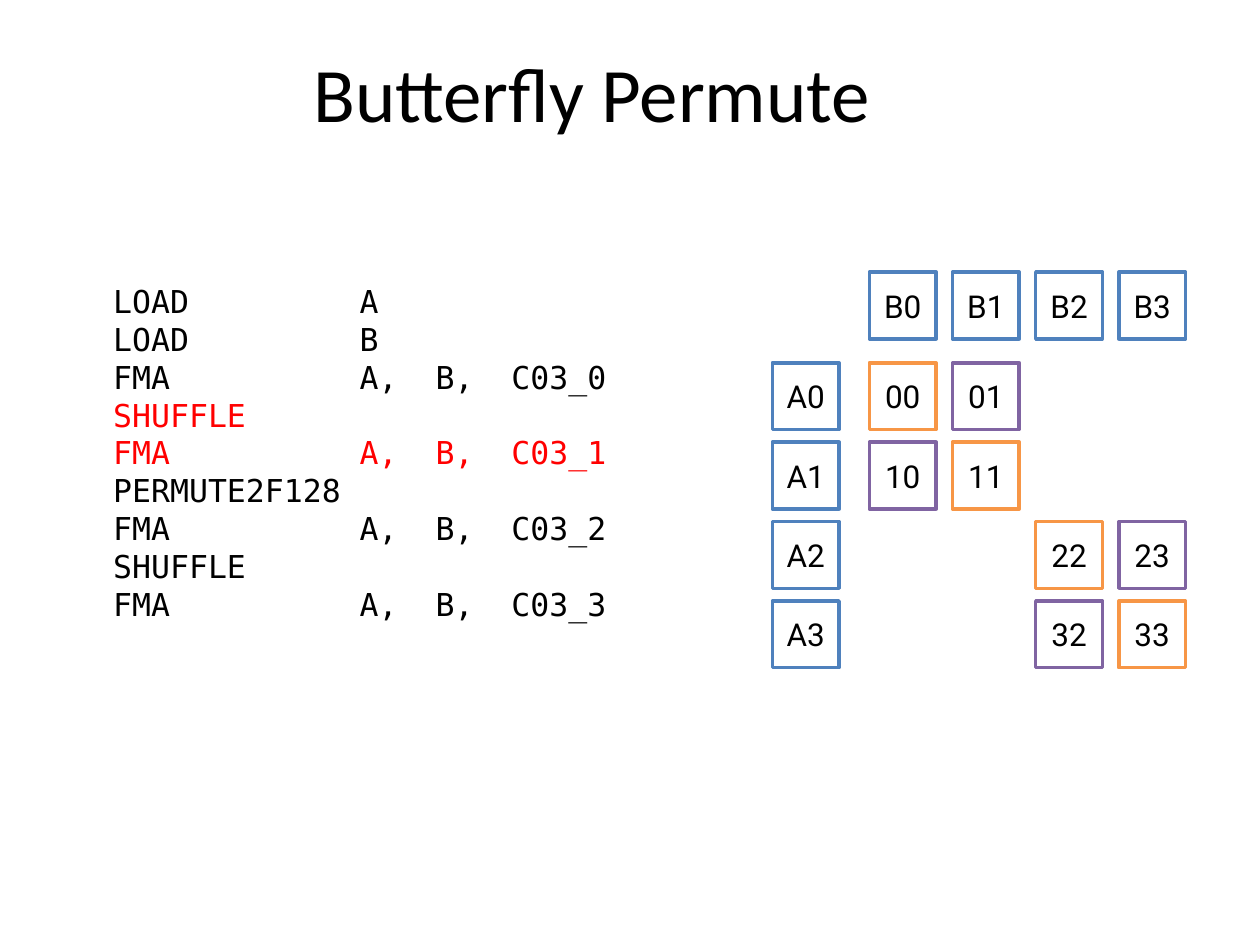
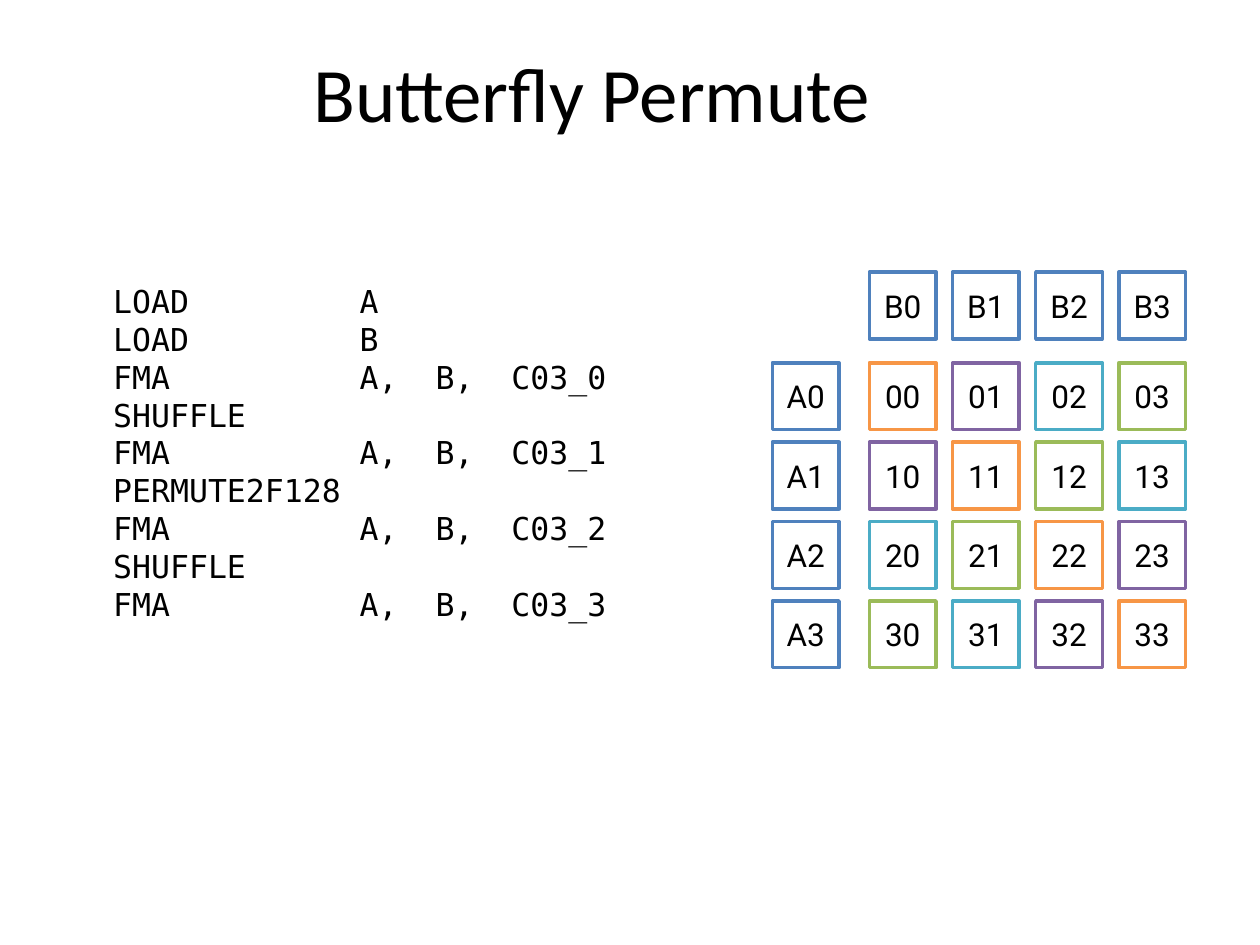
import pptx
import pptx.util
import pptx.dml.color
import pptx.enum.shapes
import pptx.enum.text

Inches = pptx.util.Inches
Pt = pptx.util.Pt
ALIGN = pptx.enum.text.PP_ALIGN
ANCHOR = pptx.enum.text.MSO_ANCHOR

HEADING = "Butterfly Permute"
INSTRUCTIONS = [
    "LOAD         A",
    "LOAD         B",
    "FMA          A,  B,  C03_0",
    "SHUFFLE",
    "FMA          A,  B,  C03_1",
    "PERMUTE2F128",
    "FMA          A,  B,  C03_2",
    "SHUFFLE",
    "FMA          A,  B,  C03_3",
]
STAGES = [
    {"active_lines": {3, 4}, "steps_done": 2},
    {"active_lines": set(), "steps_done": 4},
]

BLACK, RED, OPERAND_BLUE = "000000", "FF0000", "4F81BD"
STEP_COLOURS = ["F79646", "8064A2", "4BACC6", "9BBB59"]
TITLE_FONT = {"name": "Calibri", "size": Pt(44)}
CODE_FONT = {"name": "DejaVu Sans Mono", "size": Pt(18)}
CELL_FONT = {"name": "Roboto", "size": Pt(18)}
CELL_FRAME = {
    "margin_left": 0, "margin_right": 0, "margin_top": 0, "margin_bottom": 0,
    "word_wrap": False, "vertical_anchor": ANCHOR.MIDDLE,
}

MATRIX_SIZE = 4
CELL = 0.53
A_LEFT, B_TOP = 6.13, 2.16
MATRIX_LEFT, MATRIX_TOP = 6.9, 2.88
COLUMN_STEP, ROW_STEP = 0.66, 0.63


def rgb(colour):
    return pptx.dml.color.RGBColor.from_string(colour)


def apply(target, values):
    for attribute, value in values.items():
        setattr(target, attribute, value)


def write(paragraph, text, font, colour=BLACK, align=ALIGN.LEFT):
    paragraph.text = text
    paragraph.alignment = align
    apply(paragraph.font, font)
    paragraph.font.color.rgb = rgb(colour)


def add_title(slide):
    title = slide.shapes.title
    apply(title, {"left": Inches(0.2), "top": Inches(0.1),
                  "width": Inches(9), "height": Inches(1.25)})
    title.text_frame.vertical_anchor = ANCHOR.MIDDLE
    write(title.text_frame.paragraphs[0], HEADING, TITLE_FONT, align=ALIGN.CENTER)


def add_listing(slide, active_lines):
    listing = slide.shapes.add_textbox(Inches(0.8), Inches(2.19), Inches(4.48), Inches(2.83))
    frame = listing.text_frame
    frame.word_wrap = True
    for number, instruction in enumerate(INSTRUCTIONS):
        line = frame.add_paragraph() if number else frame.paragraphs[0]
        write(line, instruction, CODE_FONT, RED if number in active_lines else BLACK)


def add_cell(slide, label, left, top, colour):
    cell = slide.shapes.add_shape(
        pptx.enum.shapes.MSO_SHAPE.RECTANGLE,
        Inches(left), Inches(top), Inches(CELL), Inches(CELL))
    cell.shadow.inherit = False
    cell.fill.background()
    cell.line.color.rgb = rgb(colour)
    cell.line.width = Pt(2)
    apply(cell.text_frame, CELL_FRAME)
    write(cell.text_frame.paragraphs[0], label, CELL_FONT, align=ALIGN.CENTER)


def add_matrix(slide, steps_done):
    lefts = [MATRIX_LEFT + i * COLUMN_STEP for i in range(MATRIX_SIZE)]
    tops = [MATRIX_TOP + i * ROW_STEP for i in range(MATRIX_SIZE)]
    for column, left in enumerate(lefts):
        add_cell(slide, f"B{column}", left, B_TOP, OPERAND_BLUE)
    for row, top in enumerate(tops):
        add_cell(slide, f"A{row}", A_LEFT, top, OPERAND_BLUE)
        for column, left in enumerate(lefts):
            step = row ^ column
            if step < steps_done:
                add_cell(slide, f"{row}{column}", left, top, STEP_COLOURS[step])


def main():
    deck = pptx.Presentation()
    deck.slide_width, deck.slide_height = Inches(10), Inches(7.5)
    title_only = deck.slide_layouts[5]
    for stage in STAGES:
        slide = deck.slides.add_slide(title_only)
        add_title(slide)
        add_listing(slide, stage["active_lines"])
        add_matrix(slide, stage["steps_done"])
    deck.save("out.pptx")


if __name__ == "__main__":
    main()
